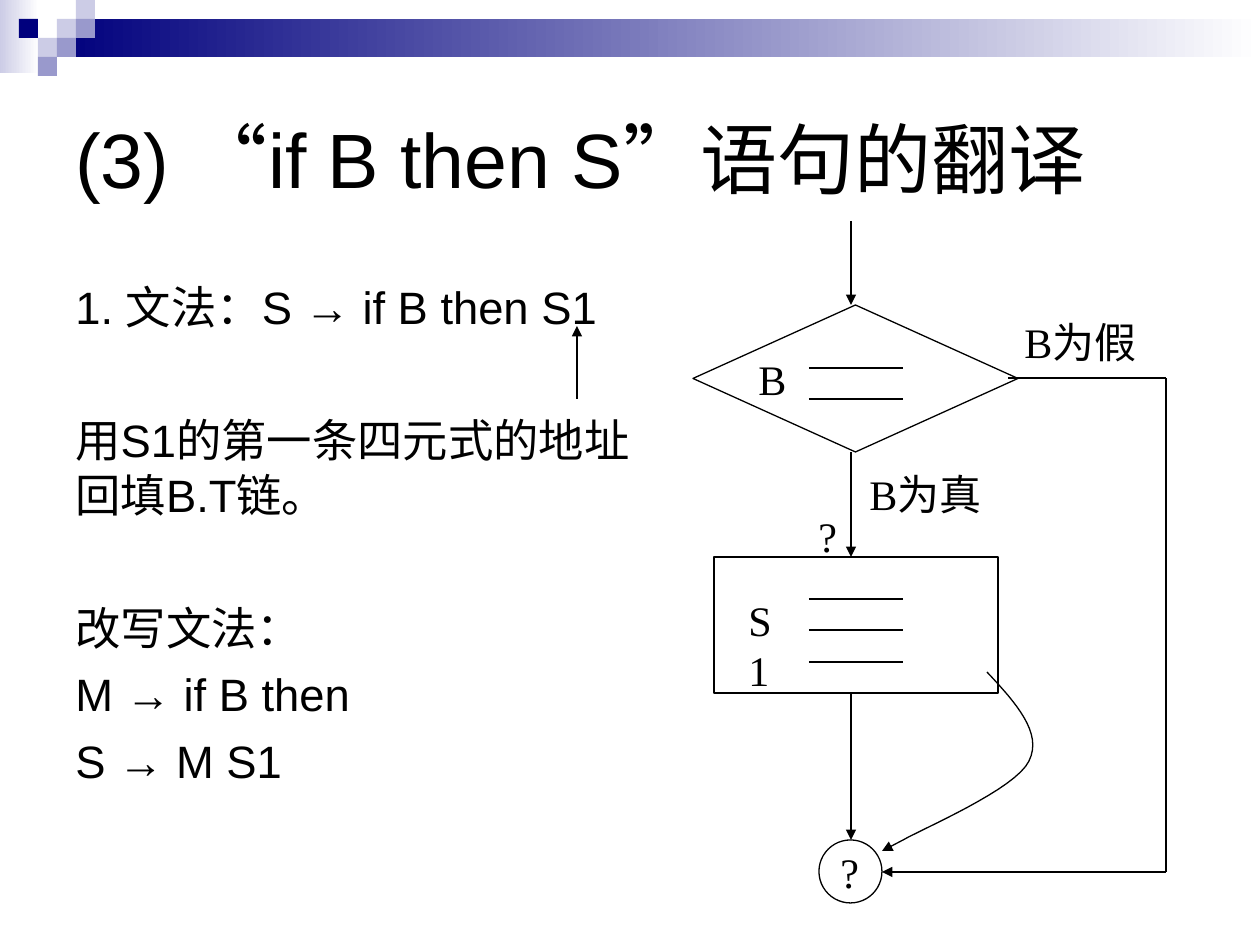
from lxml.etree import SubElement
from pptx import Presentation
from pptx.dml.color import RGBColor
from pptx.enum.shapes import MSO_CONNECTOR, MSO_SHAPE
from pptx.enum.text import MSO_ANCHOR
from pptx.oxml.ns import qn
from pptx.util import Pt

SCALE = 914400 / 126
INK, NAVY, MID, PALE, WHITE = "000000", "00007D", "9999CC", "CCCCE6", "FFFFFF"


def px(n):
    """Turn pixels into EMU."""
    return round(n * SCALE)


def color(code):
    """Turn a hex string into a colour."""
    return RGBColor.from_string(code)


def bezier(start, curves, steps=16):
    """Return points along a chain of cubic curves."""
    points = [start]
    for a, b, end in curves:
        for i in range(1, steps + 1):
            t = i / steps
            weights = (1 - t) ** 3, 3 * t * (1 - t) ** 2, 3 * t * t * (1 - t), t ** 3
            points.append(tuple(sum(w * p[k] for w, p in zip(weights, (start, a, b, end)))
                                for k in (0, 1)))
        start = end
    return points


class Board:
    """Holds the style and the current slide."""

    def __init__(self, slide, ink=INK, width=0.75):
        """Keep the slide and its line style."""
        self.shapes, self.ink, self.width = slide.shapes, ink, width

    def stroke(self, item):
        """Draw the outline in the common style."""
        item.line.color.rgb = color(self.ink)
        item.line.width = Pt(self.width)

    def block(self, x, y, w, h, fill, fade=None):
        """Add a borderless block, plain or fading to the right."""
        item = self.shapes.add_shape(MSO_SHAPE.RECTANGLE, px(x), px(y), px(w), px(h))
        item.shadow.inherit = False
        item.line.fill.background()
        if fade:
            item.fill.gradient()
            item.fill.gradient_angle = 0
            for stop, code, place in zip(item.fill.gradient_stops, (fill, fade), (0, 1)):
                stop.color.rgb = color(code)
                stop.position = place
        else:
            item.fill.solid()
            item.fill.fore_color.rgb = color(fill)

    def node(self, kind, x, y, w, h):
        """Add an outlined flowchart node."""
        item = self.shapes.add_shape(kind, px(x), px(y), px(w), px(h))
        item.shadow.inherit = False
        item.fill.background()
        self.stroke(item)

    def line(self, x1, y1, x2, y2, arrow=False):
        """Add a straight line, with an arrowhead at its end if asked."""
        item = self.shapes.add_connector(MSO_CONNECTOR.STRAIGHT, px(x1), px(y1), px(x2), px(y2))
        self.stroke(item)
        if arrow:
            SubElement(item.line._get_or_add_ln(), qn("a:tailEnd"), type="triangle")
        SubElement(item._element.spPr, qn("a:effectLst"))

    def curve(self, start, *curves):
        """Add an open smooth curve."""
        first, *rest = [(px(x), px(y)) for x, y in bezier(start, curves)]
        form = self.shapes.build_freeform(*first)
        form.add_line_segments(rest, close=False)
        item = form.convert_to_shape()
        item.shadow.inherit = False
        item.fill.background()
        self.stroke(item)

    def text(self, x, y, w, h, lines, size=24, font="Times New Roman", **frame):
        """Add a text box from pairs of wording and space before."""
        box = self.shapes.add_textbox(px(x), px(y), px(w), px(h)).text_frame
        for name, value in frame.items():
            setattr(box, name, value)
        for i, (words, gap) in enumerate(lines):
            para = box.paragraphs[0] if i == 0 else box.add_paragraph()
            para.space_before = Pt(gap)
            run = para.add_run()
            run.text = words
            for name, value in {"size": Pt(size), "name": font}.items():
                setattr(run.font, name, value)
            run.font.color.rgb = color(self.ink)


def main():
    """Build the slide and save it."""
    deck = Presentation()
    deck.slide_width, deck.slide_height = px(1260), px(945)
    board = Board(deck.slides.add_slide(deck.slide_layouts[6]))

    board.block(0, 0, 39, 73, PALE, WHITE)
    board.block(57, 19, 1203, 38, NAVY, WHITE)
    cell = 19
    for col, row, fill in ((3, 1, PALE), (4, 0, PALE), (4, 1, MID), (2, 2, PALE),
                           (1, 1, NAVY), (3, 2, MID), (2, 3, MID)):
        board.block(col * cell, row * cell, cell, cell, fill)

    board.text(63, 63, 1134, 189, [("(3) “if B then S”语句的翻译", 0)], 44, "Arial",
               word_wrap=True, vertical_anchor=MSO_ANCHOR.MIDDLE)
    board.text(63, 273, 620, 536, [
        ("1. 文法：S → if B then S1", 0),
        ("用S1的第一条四元式的地址回填B.T链。", 45),
        ("改写文法：", 45),
        ("M → if B then", 7),
        ("S → M S1", 7),
    ], 25.9, "Arial", word_wrap=True)

    board.node(MSO_SHAPE.DIAMOND, 693, 305, 325, 147)
    board.node(MSO_SHAPE.RECTANGLE, 714, 557, 284, 136)
    board.node(MSO_SHAPE.OVAL, 819, 840, 63, 63)

    axis, side = 851, 1166
    for top, end in ((221, 305), (452, 557), (693, 840)):
        board.line(axis, top, axis, end, True)
    board.line(1008, 378, side, 378)
    board.line(side, 378, side, 872)
    board.line(side, 872, 882, 872, True)
    board.line(577, 399, 577, 326, True)
    for y in (368, 399, 599, 630, 662):
        board.line(809, y, 903, y)
    board.curve((987, 672), ((1016, 703), (1043, 733), (1029, 761)),
                ((1016, 789), (922, 829), (903, 840)))
    board.line(903, 840, 882, 851, True)

    for words, x, y, w in (("B", 746, 347, 53), ("S1", 736, 588, 69), ("?", 828, 840, 44),
                           ("B为假", 1012, 310, 147), ("B为真", 857, 462, 147),
                           ("?", 806, 504, 44)):
        board.text(x, y, w, 63, [(words, 0)], word_wrap=False)

    deck.save("out.pptx")


if __name__ == "__main__":
    main()
